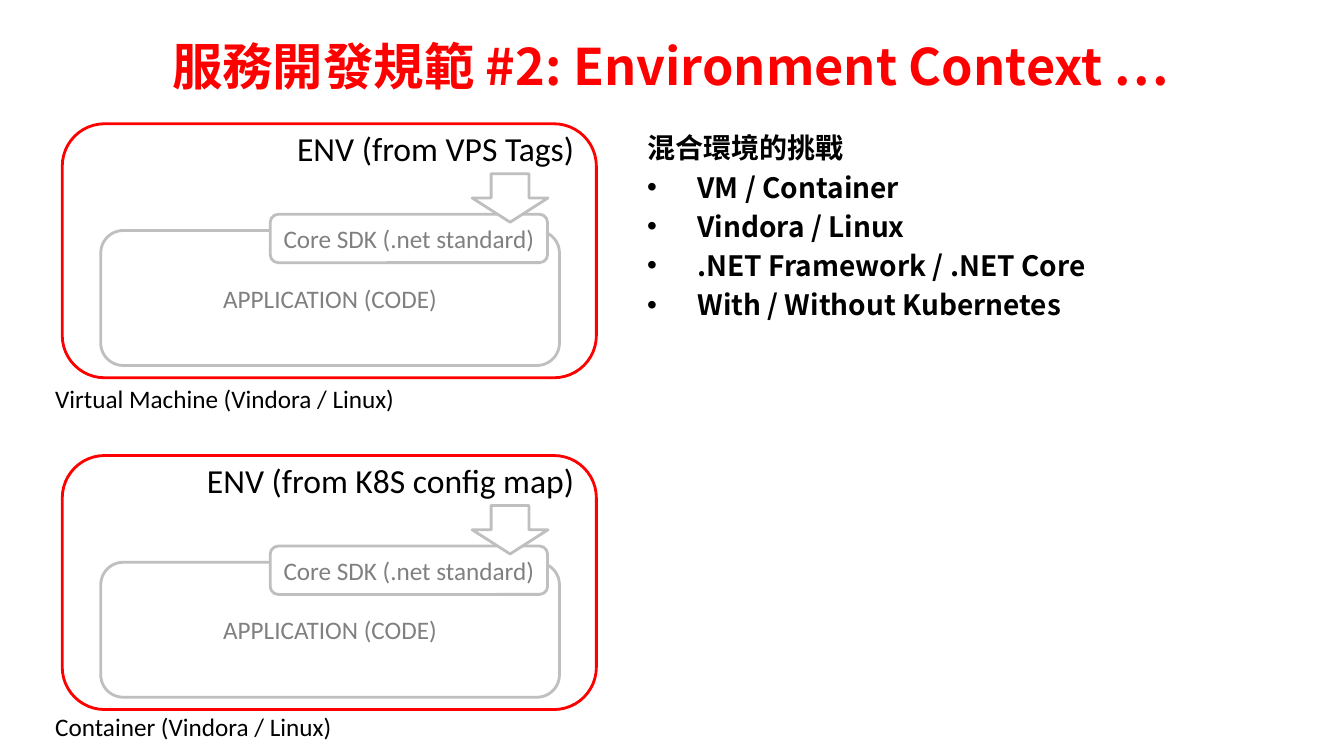
from lxml import etree
from pptx import Presentation
from pptx.dml.color import RGBColor
from pptx.enum import shapes, text
from pptx.oxml import ns
from pptx.util import Cm, Pt

TITLE = "服務開發規範 #2: Environment Context …"
HEADING = "混合環境的挑戰"
CHALLENGES = [
    "VM / Container",
    "Vindora / Linux",
    ".NET Framework / .NET Core",
    "With / Without Kubernetes",
]
# environment text, caption, frame top (cm), caption top (cm)
HOSTS = [
    ("ENV (from VPS Tags)", "Virtual Machine (Vindora / Linux)", 3.12, 9.53),
    ("ENV (from K8S config map)", "Container (Vindora / Linux)", 11.48, 17.81),
]
APPLICATION = "APPLICATION (CODE)"
CORE_SDK = "Core SDK (.net standard)"

RED = RGBColor(0xFF, 0x00, 0x00)
BLACK = RGBColor(0x00, 0x00, 0x00)
WHITE = RGBColor(0xFF, 0xFF, 0xFF)
SILVER = RGBColor(0xBF, 0xBF, 0xBF)
GRAY = RGBColor(0x80, 0x80, 0x80)
LATIN_FONT = "Calibri"
CJK_FONT = "Noto Sans CJK SC"
LEFT, CENTER, RIGHT = text.PP_ALIGN.LEFT, text.PP_ALIGN.CENTER, text.PP_ALIGN.RIGHT
ROUNDED = shapes.MSO_SHAPE.ROUNDED_RECTANGLE


def add_run(paragraph, words, size, color, font=LATIN_FONT, bold=False):
    run = paragraph.add_run()
    run.text = words
    run.font.size = Pt(size)
    run.font.bold = bold
    run.font.color.rgb = color
    run.font.name = font
    east_asian = etree.SubElement(run.font._element, ns.qn("a:ea"))
    east_asian.set("typeface", font)


def add_bullet(paragraph):
    properties = paragraph._p.get_or_add_pPr()
    properties.set("marL", str(Cm(1.27)))
    properties.set("indent", str(-Cm(1.27)))
    etree.SubElement(properties, ns.qn("a:buFont")).set("typeface", "Arial")
    etree.SubElement(properties, ns.qn("a:buChar")).set("char", "•")


def add_text_box(slide, left, top, width, height, wrap=True):
    frame = slide.shapes.add_textbox(Cm(left), Cm(top), Cm(width), Cm(height)).text_frame
    frame.word_wrap = wrap
    return frame


def set_placeholder_insets(frame):
    frame.margin_left = frame.margin_right = Cm(0.33)
    frame.margin_top = frame.margin_bottom = Cm(0.18)


def add_outlined(slide, kind, left, top, width, height, line):
    """Add a white shape with a 2 pt outline."""
    shape = slide.shapes.add_shape(kind, Cm(left), Cm(top), Cm(width), Cm(height))
    shape.shadow.inherit = False
    shape.fill.solid()
    shape.fill.fore_color.rgb = WHITE
    shape.line.color.rgb = line
    shape.line.width = Pt(2)
    return shape


def write_label(shape, words, size, color, align):
    shape.text_frame.vertical_anchor = text.MSO_ANCHOR.MIDDLE
    paragraph = shape.text_frame.paragraphs[0]
    paragraph.alignment = align
    add_run(paragraph, words, size, color)


def add_host(slide, environment, caption, top, caption_top):
    host = add_outlined(slide, ROUNDED, 1.57, top, 13.46, 6.4, RED)
    write_label(host, environment, 24, BLACK, RIGHT)
    host.text_frame.vertical_anchor = text.MSO_ANCHOR.TOP
    host.text_frame.margin_top = Cm(-0.2)  # lifts the text above the corner inset

    application = add_outlined(slide, ROUNDED, 2.54, top + 2.69, 11.56, 3.4, SILVER)
    write_label(application, APPLICATION, 18, GRAY, CENTER)
    core = add_outlined(slide, ROUNDED, 6.81, top + 2.28, 6.99, 1.22, SILVER)
    write_label(core, CORE_SDK, 18, GRAY, CENTER)
    add_outlined(slide, shapes.MSO_SHAPE.DOWN_ARROW, 11.9, top + 1.26, 1.91, 1.22, SILVER)

    frame = add_text_box(slide, 1.14, caption_top, 9.55, 1.02, wrap=False)
    frame.paragraphs[0].alignment = LEFT
    add_run(frame.paragraphs[0], caption, 18, BLACK)


def add_title(slide):
    frame = add_text_box(slide, 0.33, 0.74, 33.15, 1.8)
    set_placeholder_insets(frame)
    frame.vertical_anchor = text.MSO_ANCHOR.MIDDLE
    frame.paragraphs[0].alignment = CENTER
    add_run(frame.paragraphs[0], TITLE, 36, RED, CJK_FONT, bold=True)


def add_challenges(slide):
    frame = add_text_box(slide, 15.98, 3.12, 17.48, 15.39)
    set_placeholder_insets(frame)
    for index, words in enumerate([HEADING, *CHALLENGES]):
        paragraph = frame.add_paragraph() if index else frame.paragraphs[0]
        paragraph.line_spacing = Pt(24)
        if index:
            paragraph.space_before = Pt(4)
            add_bullet(paragraph)
        add_run(paragraph, words, 20, BLACK, CJK_FONT, bold=True)


def main():
    presentation = Presentation()
    presentation.slide_width = Cm(33.87)
    presentation.slide_height = Cm(19.05)
    slide = presentation.slides.add_slide(presentation.slide_layouts[6])
    add_title(slide)
    add_challenges(slide)
    for host in HOSTS:
        add_host(slide, *host)
    presentation.save("out.pptx")


if __name__ == "__main__":
    main()
